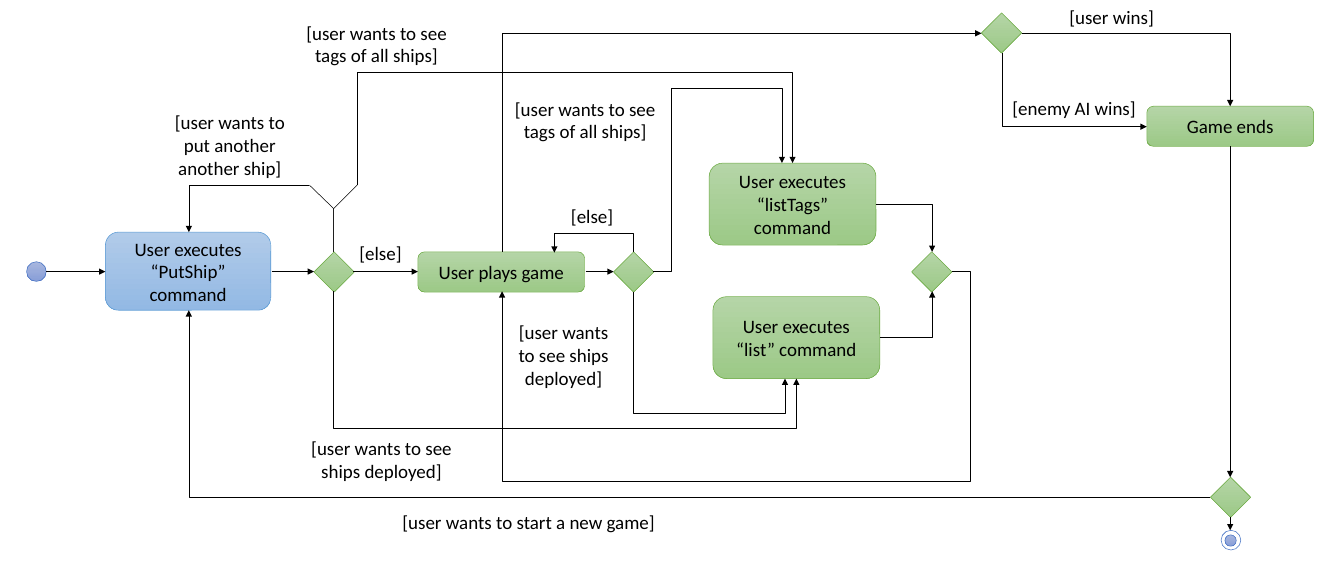
from lxml import etree
from pptx import Presentation
from pptx.dml.color import RGBColor
from pptx.enum.shapes import MSO_CONNECTOR, MSO_SHAPE
from pptx.enum.text import MSO_ANCHOR, PP_ALIGN
from pptx.oxml.ns import qn
from pptx.util import Inches, Pt

BLACK = RGBColor(0x00, 0x00, 0x00)
WHITE = RGBColor(0xFF, 0xFF, 0xFF)
# Each style: gradient top, gradient bottom, outline
GREEN = (RGBColor(0xB5, 0xD5, 0xA7), RGBColor(0x9C, 0xC9, 0x87), RGBColor(0x70, 0xAD, 0x47))
BLUE = (RGBColor(0xB1, 0xCB, 0xE9), RGBColor(0x93, 0xB9, 0xE4), RGBColor(0x5B, 0x9B, 0xD5))
INDIGO = (RGBColor(0xA8, 0xB7, 0xDF), RGBColor(0x88, 0x9E, 0xD7), RGBColor(0x44, 0x72, 0xC4))
LINE_WIDTH = Pt(0.5)
DIAMOND_SIZE = 0.53

prs = Presentation()
prs.slide_width, prs.slide_height = Inches(17.72), Inches(7.5)
slide = prs.slides.add_slide(prs.slide_layouts[6])
shapes = slide.shapes


def write(shape, text, align=PP_ALIGN.CENTER):
    """Put one wrapped 18 pt paragraph into a shape or text box."""
    frame = shape.text_frame
    frame.word_wrap = True
    paragraph = frame.paragraphs[0]
    paragraph.alignment = align
    run = paragraph.add_run()
    run.text = text
    run.font.name, run.font.size = "Calibri", Pt(18)
    run.font.color.rgb = BLACK


def draw_arrow(points):
    """Draw a straight or elbow connector with an arrowhead through the points."""
    (x0, y0), (x1, y1) = points[0], points[-1]
    dx, dy = x1 - x0, y1 - y0
    bends = len(points) - 2
    # An elbow leaves along its local x axis, so a vertical start is turned by 90 degrees.
    turned = bends > 0 and points[1][0] == x0
    if turned:
        mid_x, mid_y = (x0 + x1) / 2, (y0 + y1) / 2
        ends = (mid_x - dy / 2, mid_y + dx / 2, mid_x + dy / 2, mid_y - dx / 2)
    else:
        ends = (x0, y0, x1, y1)
    kind = MSO_CONNECTOR.ELBOW if bends else MSO_CONNECTOR.STRAIGHT
    arrow = shapes.add_connector(kind, *(Inches(v) for v in ends))
    arrow.line.width = LINE_WIDTH
    arrow.line.color.rgb = BLACK
    properties = arrow._element.spPr
    if turned:
        properties.find(qn("a:xfrm")).set("rot", str(90 * 60000))
    if bends:
        geometry = properties.find(qn("a:prstGeom"))
        geometry.set("prst", f"bentConnector{bends + 1}")
        guides = geometry.find(qn("a:avLst"))
        for i in range(1, bends):
            along_x = (i % 2 == 1) != turned
            part = (points[i][0] - x0) / dx if along_x else (points[i][1] - y0) / dy
            etree.SubElement(guides, qn("a:gd"), name=f"adj{i}", fmla=f"val {round(part * 100000)}")
    etree.SubElement(properties.find(qn("a:ln")), qn("a:tailEnd"), type="triangle")
    etree.SubElement(properties, qn("a:effectLst"))


# Nodes: preset, left, top, width, height, style, text
nodes = [
    (MSO_SHAPE.ROUNDED_RECTANGLE, 1.39, 3.06, 2.18, 1.03, BLUE, "User executes “PutShip” command"),
    (MSO_SHAPE.ROUNDED_RECTANGLE, 5.51, 3.32, 2.2, 0.53, GREEN, "User plays game"),
    (MSO_SHAPE.ROUNDED_RECTANGLE, 9.35, 2.15, 2.2, 1.08, GREEN, "User executes “listTags” command"),
    (MSO_SHAPE.ROUNDED_RECTANGLE, 9.4, 3.91, 2.2, 1.08, GREEN, "User executes “list” command"),
    (MSO_SHAPE.ROUNDED_RECTANGLE, 15.12, 1.4, 2.2, 0.53, GREEN, "Game ends"),
    (MSO_SHAPE.OVAL, 0.35, 3.45, 0.26, 0.26, INDIGO, ""),
    (MSO_SHAPE.OVAL, 16.1, 6.99, 0.26, 0.26, (WHITE, WHITE, INDIGO[2]), ""),
    (MSO_SHAPE.OVAL, 16.15, 7.05, 0.15, 0.15, INDIGO, ""),
]
for left, top in [(4.14, 3.32), (8.09, 3.32), (12.02, 3.32), (12.94, 0.17), (15.96, 6.29)]:
    nodes.append((MSO_SHAPE.DIAMOND, left, top, DIAMOND_SIZE, DIAMOND_SIZE, GREEN, ""))

for preset, left, top, width, height, (light, dark, outline), text in nodes:
    node = shapes.add_shape(preset, Inches(left), Inches(top), Inches(width), Inches(height))
    node.shadow.inherit = False
    if light == dark:
        node.fill.solid()
        node.fill.fore_color.rgb = light
    else:
        node.fill.gradient()
        node.fill.gradient_angle = 270
        for stop, color in zip(node.fill.gradient_stops, (light, dark)):
            stop.color.rgb = color
    node.line.color.rgb = outline
    node.line.width = LINE_WIDTH
    if text:
        node.text_frame.vertical_anchor = MSO_ANCHOR.MIDDLE
        write(node, text)

# The branch above the first decision splits to the left and to the right
stem_x = Inches(4.4)
for tip_x in (4.08, 4.71):
    builder = shapes.build_freeform(stem_x, Inches(3.32))
    builder.add_line_segments([(stem_x, Inches(2.75)), (Inches(tip_x), Inches(2.44))], close=False)
    branch = builder.convert_to_shape()
    branch.shadow.inherit = False
    branch.fill.background()
    branch.line.color.rgb = BLACK
    branch.line.width = LINE_WIDTH

arrows = [
    [(0.61, 3.58), (1.39, 3.58)],
    [(3.58, 3.58), (4.14, 3.58)],
    [(4.66, 3.58), (5.51, 3.58)],
    [(7.72, 3.58), (8.09, 3.58)],
    [(16.22, 1.93), (16.22, 6.29)],
    [(16.22, 6.81), (16.22, 6.99)],
    [(4.08, 2.44), (2.49, 2.44), (2.49, 3.06)],
    [(4.71, 2.44), (4.71, 0.95), (10.45, 0.95), (10.45, 2.15)],
    [(4.4, 3.84), (4.4, 5.65), (10.5, 5.65), (10.5, 4.99)],
    [(8.35, 3.32), (8.35, 3.07), (7.31, 3.07), (7.31, 3.33)],
    [(8.61, 3.58), (8.85, 3.58), (8.85, 1.16), (10.31, 1.16), (10.31, 2.15)],
    [(8.35, 3.85), (8.35, 5.45), (10.35, 5.45), (10.35, 4.99)],
    [(11.55, 2.69), (12.29, 2.69), (12.29, 3.32)],
    [(11.6, 4.45), (12.29, 4.45), (12.29, 3.84)],
    [(12.55, 3.58), (12.8, 3.58), (12.8, 6.34), (6.62, 6.34), (6.62, 3.84)],
    [(6.62, 3.32), (6.62, 0.44), (12.94, 0.44)],
    [(13.47, 0.44), (16.22, 0.44), (16.22, 1.4)],
    [(13.21, 0.7), (13.21, 1.67), (15.12, 1.67)],
    [(15.96, 6.55), (2.49, 6.55), (2.49, 4.09)],
]
for points in arrows:
    draw_arrow(points)

# Guards: left, top, width, height, alignment, text
guards = [
    (4.64, 3.14, 0.77, 0.4, PP_ALIGN.LEFT, "[else]"),
    (7.43, 2.65, 0.77, 0.4, PP_ALIGN.LEFT, "[else]"),
    (14, 0.02, 1.39, 0.4, PP_ALIGN.LEFT, "[user wins]"),
    (13.25, 1.22, 1.95, 0.4, PP_ALIGN.LEFT, "[enemy AI wins]"),
    (2.02, 1.41, 2.02, 1.01, PP_ALIGN.CENTER, "[user wants to put another another ship]"),
    (3.93, 0.23, 2.07, 0.71, PP_ALIGN.CENTER, "[user wants to see tags of all ships]"),
    (6.67, 1.23, 2.09, 0.71, PP_ALIGN.CENTER, "[user wants to see tags of all ships]"),
    (6.67, 4.18, 1.52, 1.01, PP_ALIGN.CENTER, "[user wants to see ships deployed]"),
    (3.93, 5.71, 2.2, 0.71, PP_ALIGN.CENTER, "[user wants to see ships deployed]"),
    (4.97, 6.68, 4, 0.4, PP_ALIGN.CENTER, "[user wants to start a new game]"),
]
for left, top, width, height, align, text in guards:
    guard = shapes.add_textbox(Inches(left), Inches(top), Inches(width), Inches(height))
    write(guard, text, align)

prs.save("out.pptx")
